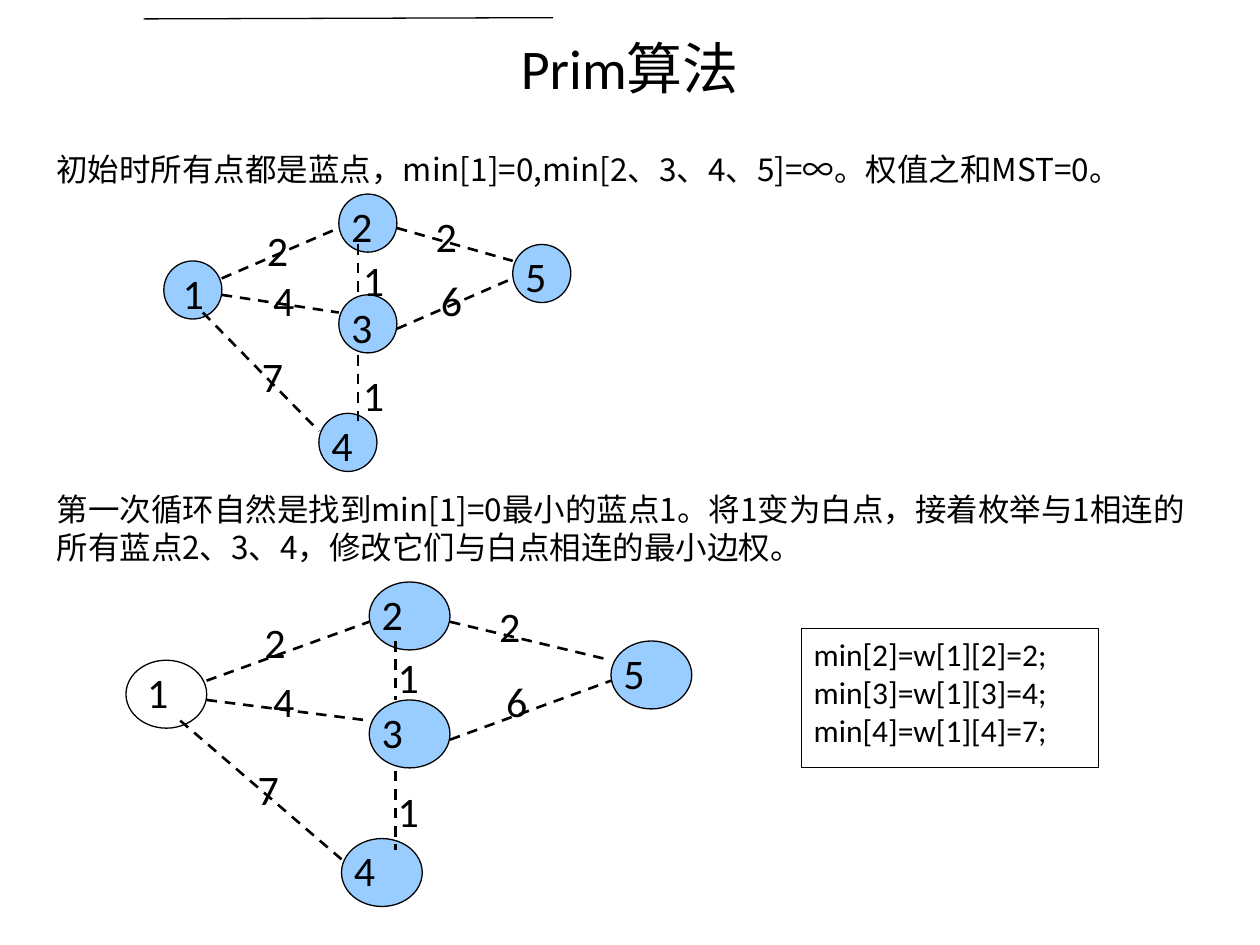
from dataclasses import dataclass

from lxml import etree
from pptx import Presentation
from pptx.dml.color import RGBColor
from pptx.enum.dml import MSO_LINE
from pptx.enum.shapes import MSO_CONNECTOR, MSO_SHAPE
from pptx.enum.text import MSO_ANCHOR, PP_ALIGN
from pptx.oxml.ns import qn
from pptx.util import Pt

COLORS = {"ink": "000000", "blue": "99CCFF", "white": "FFFFFF"}
LATIN, CJK = "Calibri", "Noto Sans CJK SC"
NODE_SIZE = 33.2
LABEL_HEIGHT = 30


@dataclass(frozen=True)
class Node:
    name: str
    x: float
    y: float
    label_shift: float = 0


@dataclass(frozen=True)
class Edge:
    weight: str
    start: tuple[float, float]
    end: tuple[float, float]
    label: tuple[float, float]


@dataclass(frozen=True)
class Placement:
    left: float
    top: float
    scale_x: float
    scale_y: float
    white_nodes: tuple[str, ...] = ()

    def point(self, x: float, y: float) -> tuple[float, float]:
        return self.left + x * self.scale_x, self.top + y * self.scale_y

    def box(self, x: float, y: float, width: float, height: float) -> tuple:
        return *self.point(x, y), width * self.scale_x, height * self.scale_y


# The weighted graph, in points from its own top left corner
NODES = [
    Node("1", 0, 38.2, 3.6),
    Node("2", 100, 0),
    Node("3", 100, 57.6),
    Node("4", 88.6, 125.3),
    Node("5", 199.4, 28.8),
]
EDGES = [
    Edge("2", (33.1, 48.2), (100, 19.4), (51.8, 13.7)),
    Edge("4", (33.1, 57.6), (100, 67.7), (55.4, 42.5)),
    Edge("7", (22.3, 67.7), (88.6, 135.4), (49, 85.7)),
    Edge("1", (110.9, 28.8), (110.9, 57.6), (106.6, 31)),
    Edge("1", (110.9, 92.2), (110.9, 131), (106.6, 96.5)),
    Edge("6", (133.2, 77), (199.4, 48.2), (151.2, 42.5)),
    Edge("2", (133.2, 19.4), (199.4, 38.2), (148.3, 5.8)),
]
INITIAL = Placement(93.6, 110.9, 1, 1)
FIRST_ROUND = Placement(72, 332.6, 1.39, 1.17, ("1",))


def rgb(name: str) -> RGBColor:
    return RGBColor.from_string(COLORS[name])


def write(shape, lines: list[str], size: float, font: str = LATIN,
          align=PP_ALIGN.LEFT, anchor=MSO_ANCHOR.TOP, spacing: float | None = None) -> None:
    frame = shape.text_frame
    frame.text = "\n".join(lines)
    frame.word_wrap = True
    frame.vertical_anchor = anchor
    for paragraph in frame.paragraphs:
        paragraph.alignment = align
        if spacing:
            paragraph.line_spacing = Pt(spacing)
        for run in paragraph.runs:
            run.font.size = Pt(size)
            run.font.name = font
            run.font.color.rgb = rgb("ink")
            east_asian = etree.SubElement(run.font._element, qn("a:ea"))
            east_asian.set("typeface", CJK)


def add_text(shapes, box: tuple, text: str, size: float, **style) -> None:
    write(shapes.add_textbox(*map(Pt, box)), [text], size, **style)


def add_outline(shapes, kind, box: tuple, fill: str | None, line: str | None = "ink"):
    shape = shapes.add_shape(kind, *map(Pt, box))
    shape.shadow.inherit = False
    if fill:
        shape.fill.solid()
        shape.fill.fore_color.rgb = rgb(fill)
    else:
        shape.fill.background()
    if line:
        shape.line.color.rgb = rgb(line)
        shape.line.width = Pt(0.75)
    else:
        shape.line.fill.background()
    return shape


def add_line(shapes, start: tuple, end: tuple, width: float, dash=None) -> None:
    line = shapes.add_connector(MSO_CONNECTOR.STRAIGHT, *map(Pt, (*start, *end)))
    line.line.color.rgb = rgb("ink")
    line.line.width = Pt(width)
    if dash:
        line.line.dash_style = dash
    etree.SubElement(line._element.spPr, qn("a:effectLst"))


def add_graph(slide, place: Placement):
    shapes = slide.shapes.add_group_shape().shapes
    for node in NODES:
        fill = None if node.name in place.white_nodes else "blue"
        add_outline(shapes, MSO_SHAPE.OVAL,
                    place.box(node.x, node.y, NODE_SIZE, NODE_SIZE), fill)
    for edge in EDGES:
        add_line(shapes, place.point(*edge.start), place.point(*edge.end), 1.5, MSO_LINE.DASH)
    labels = [(node.name, node.x + node.label_shift, node.y) for node in NODES]
    labels += [(edge.weight, *edge.label) for edge in EDGES]
    for text, x, y in labels:
        add_text(shapes, place.box(x, y, NODE_SIZE, LABEL_HEIGHT), text, 24)
    return shapes


def main() -> None:
    deck = Presentation()
    deck.slide_width, deck.slide_height = Pt(720), Pt(540)
    slide = deck.slides.add_slide(deck.slide_layouts[6])
    shapes = slide.shapes

    # Backdrop, title and rule
    add_outline(shapes, MSO_SHAPE.RECTANGLE, (72, 111.6, 293.8, 164.2), "white", None)
    add_text(shapes, (36, 15.1, 648, 46.1), "Prim算法", 32,
             align=PP_ALIGN.CENTER, anchor=MSO_ANCHOR.MIDDLE)
    add_line(shapes, (82.1, 10.8), (316.1, 10.1), 0.75)

    # Initial state
    add_text(shapes, (25.2, 60.5, 669.6, 50.4),
             "初始时所有点都是蓝点，min[1]=0,min[2、3、4、5]=∞。权值之和MST=0。",
             18, font=CJK, anchor=MSO_ANCHOR.BOTTOM, spacing=22)
    add_graph(slide, INITIAL)

    # First round
    add_text(shapes, (25.2, 275.8, 671, 50.4),
             "第一次循环自然是找到min[1]=0最小的蓝点1。将1变为白点，接着枚举与1相连的所有蓝点"
             "2、3、4，修改它们与白点相连的最小边权。",
             18, font=CJK, spacing=22)
    round_shapes = add_graph(slide, FIRST_ROUND)

    # Updated minimum weights
    updates = add_outline(round_shapes, MSO_SHAPE.RECTANGLE, (457.9, 359.3, 169.9, 79.2), "white")
    weights = {2: 2, 3: 4, 4: 7}
    write(updates, [f"min[{node}]=w[1][{node}]={weight};" for node, weight in weights.items()], 18)

    deck.save("out.pptx")


if __name__ == "__main__":
    main()
